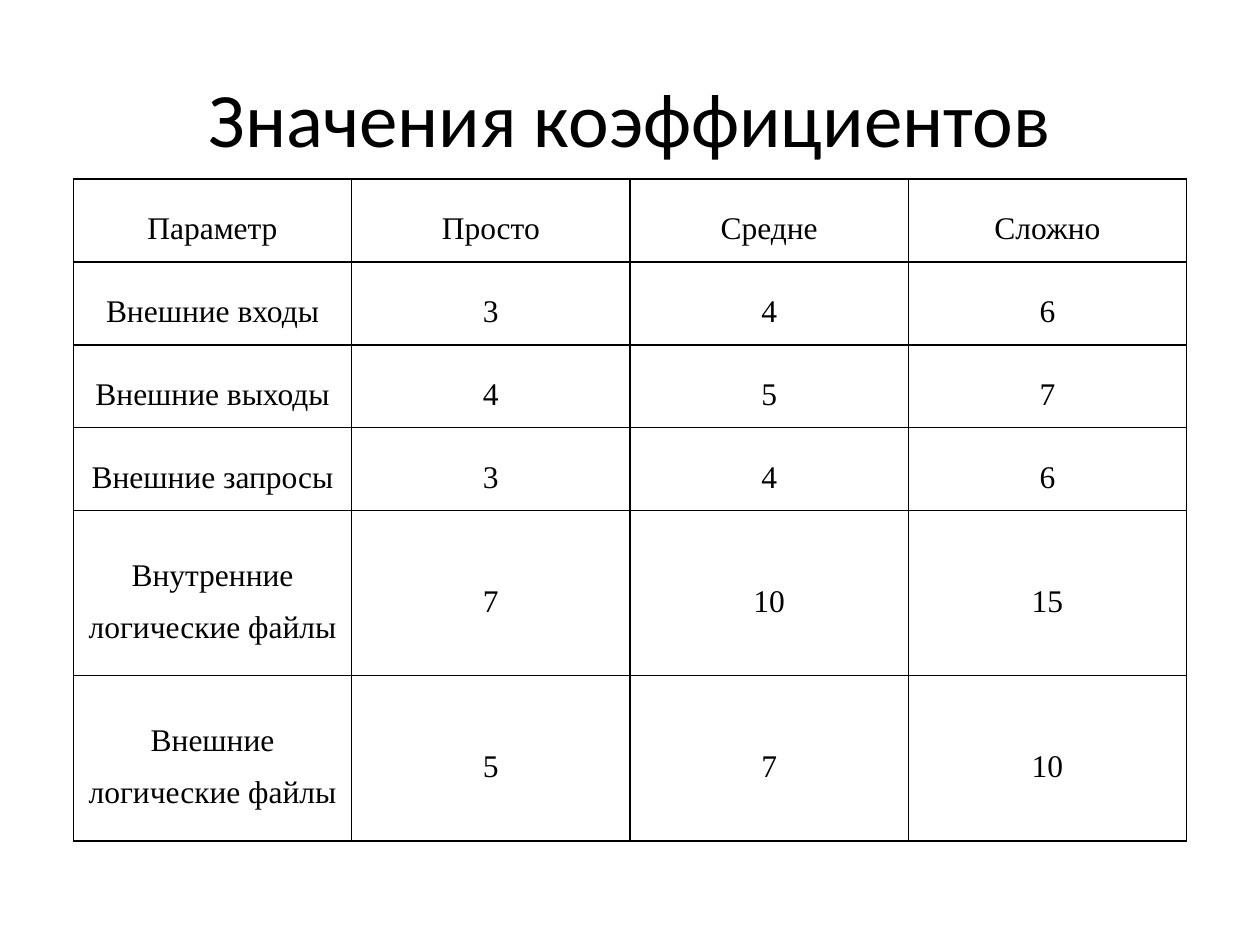
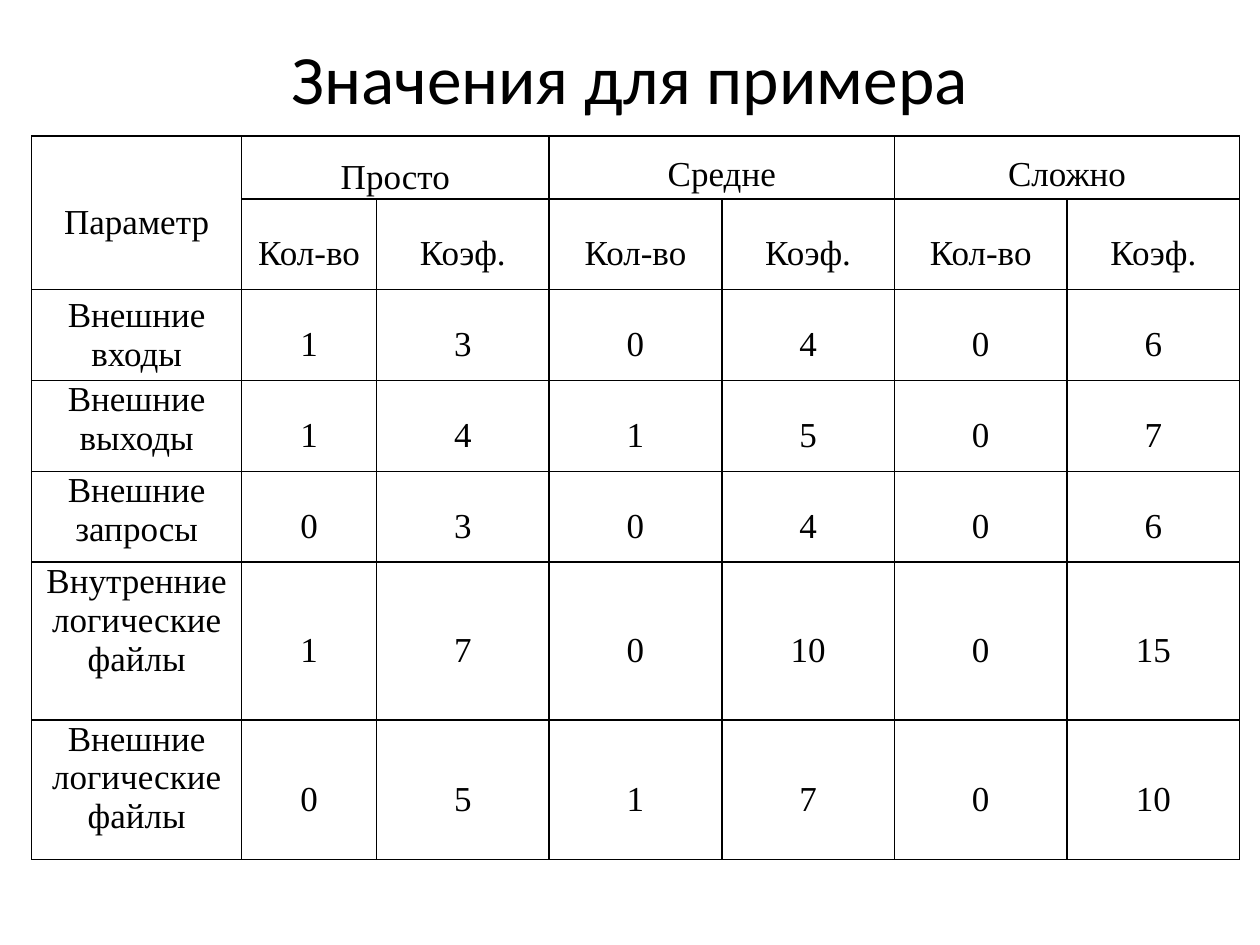
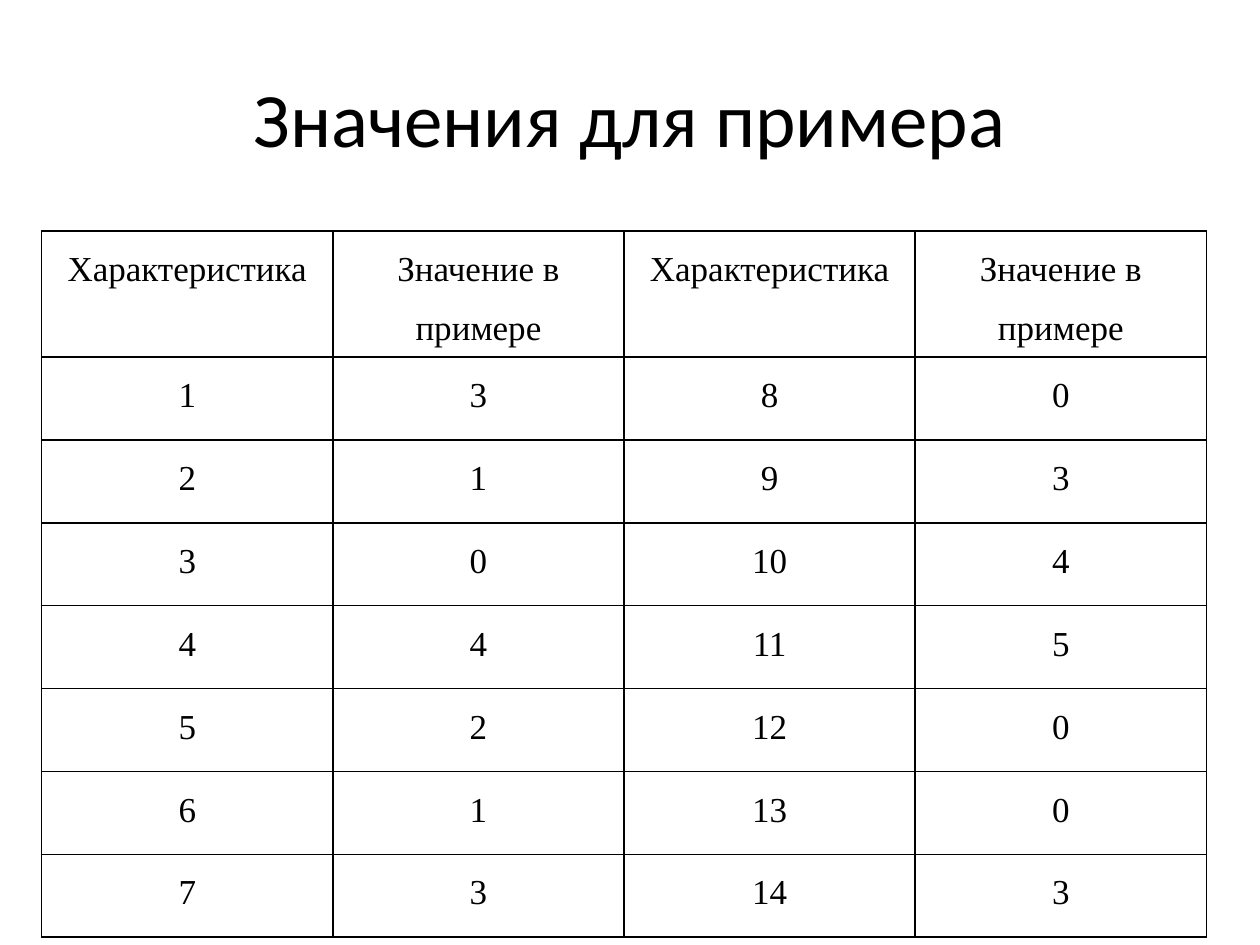
from lxml import etree
from pptx import Presentation
from pptx.dml.color import RGBColor
from pptx.enum.text import MSO_ANCHOR, PP_ALIGN
from pptx.oxml.ns import qn
from pptx.util import Cm, Pt

BLACK = RGBColor(0x00, 0x00, 0x00)
TITLE_FONT = "Calibri"
TABLE_FONT = "Times New Roman"
BORDER_WIDTH = Pt(1)
CELL_MARGIN = Cm(0.19)

presentation = Presentation()
presentation.slide_width = Cm(25.4)
presentation.slide_height = Cm(19.05)


def add_titled_slide(title, height=3.18, size=44):
    """Add a blank slide with a centred title and return it."""
    slide = presentation.slides.add_slide(presentation.slide_layouts[6])
    box = slide.shapes.add_textbox(Cm(1.27), Cm(0.76), Cm(22.86), Cm(height))
    text_frame = box.text_frame
    text_frame.word_wrap = True
    text_frame.vertical_anchor = MSO_ANCHOR.MIDDLE
    text_frame.text = title
    paragraph = text_frame.paragraphs[0]
    paragraph.alignment = PP_ALIGN.CENTER
    font = paragraph.runs[0].font
    font.name, font.size, font.color.rgb = TITLE_FONT, Pt(size), BLACK
    return slide


def add_grid(slide, left, top, widths, heights, rows, size, anchor):
    """Add a black-ruled table of centred text and return it."""
    table = slide.shapes.add_table(
        len(heights), len(widths), Cm(left), Cm(top),
        Cm(sum(widths)), Cm(sum(heights))).table
    table.first_row = table.horz_banding = False
    for column, width in zip(table.columns, widths):
        column.width = Cm(width)
    for row, height, values in zip(table.rows, heights, rows):
        row.height = Cm(height)
        for cell, value in zip(row.cells, values):
            cell.margin_left = cell.margin_right = CELL_MARGIN
            cell.margin_top = cell.margin_bottom = 0
            cell.vertical_anchor = anchor
            properties = cell._tc.get_or_add_tcPr()
            for side in ("a:lnL", "a:lnR", "a:lnT", "a:lnB"):
                line = etree.SubElement(properties, qn(side), w=str(BORDER_WIDTH))
                fill = etree.SubElement(line, qn("a:solidFill"))
                etree.SubElement(fill, qn("a:srgbClr"), val=str(BLACK))
            cell.fill.background()
            if value is None:
                continue
            cell.text_frame.text = str(value)
            paragraph = cell.text_frame.paragraphs[0]
            paragraph.alignment = PP_ALIGN.CENTER
            paragraph.line_spacing = 1.5
            font = paragraph.runs[0].font
            font.name, font.size, font.color.rgb = TABLE_FONT, Pt(size), BLACK
    return table


levels = ["Просто", "Средне", "Сложно"]
# Parameter, its factor at each level, its count at each level
parameters = [
    ("Внешние входы", (3, 4, 6), (1, 0, 0)),
    ("Внешние выходы", (4, 5, 7), (1, 1, 0)),
    ("Внешние запросы", (3, 4, 6), (0, 0, 0)),
    ("Внутренние логические файлы", (7, 10, 15), (1, 0, 0)),
    ("Внешние логические файлы", (5, 7, 10), (0, 1, 0)),
]

# Slide 1: factors
slide = add_titled_slide("Значения коэффициентов")
rows = [["Параметр", *levels]]
rows += [[name, *factors] for name, factors, counts in parameters]
add_grid(slide, 1.48, 3.61, [5.61] * 4, [1.67] * 4 + [3.33] * 2,
         rows, 18, MSO_ANCHOR.MIDDLE)

# Slide 2: counts beside factors
slide = add_titled_slide("Значения для примера", height=1.57, size=39.6)
rows = [["Параметр"], [None]]
for level in levels:
    rows[0] += [level, None]
    rows[1] += ["Кол-во", "Коэф."]
for name, factors, counts in parameters:
    row = [name]
    for pair in zip(counts, factors):
        row += pair
    rows.append(row)
table = add_grid(slide, 0.64, 2.74, [4.23, 2.72] + [3.48] * 5,
                 [0.86] + [1.83] * 4 + [3.18, 2.82],
                 rows, 20, MSO_ANCHOR.MIDDLE)
table.cell(0, 0).merge(table.cell(1, 0))
for column in (1, 3, 5):
    table.cell(0, column).merge(table.cell(0, column + 1))
for column in (3, 5):
    table.cell(0, column).vertical_anchor = MSO_ANCHOR.TOP
for row in range(2, len(rows)):
    name_cell = table.cell(row, 0)
    name_cell.text_frame.paragraphs[0].line_spacing = 1.0
    if row > 2:
        name_cell.vertical_anchor = MSO_ANCHOR.TOP

# Slide 3: characteristics in two halves
slide = add_titled_slide("Значения для примера")
scores = [3, 1, 0, 4, 2, 1, 3, 0, 3, 4, 5, 0, 0, 3]
half = len(scores) // 2
rows = [["Характеристика", "Значение в примере"] * 2]
rows += [[i + 1, scores[i], i + 1 + half, scores[i + half]] for i in range(half)]
add_grid(slide, 0.84, 4.66, [5.87] * 4, [1.67] * 8, rows, 20, MSO_ANCHOR.TOP)

presentation.save("out.pptx")
